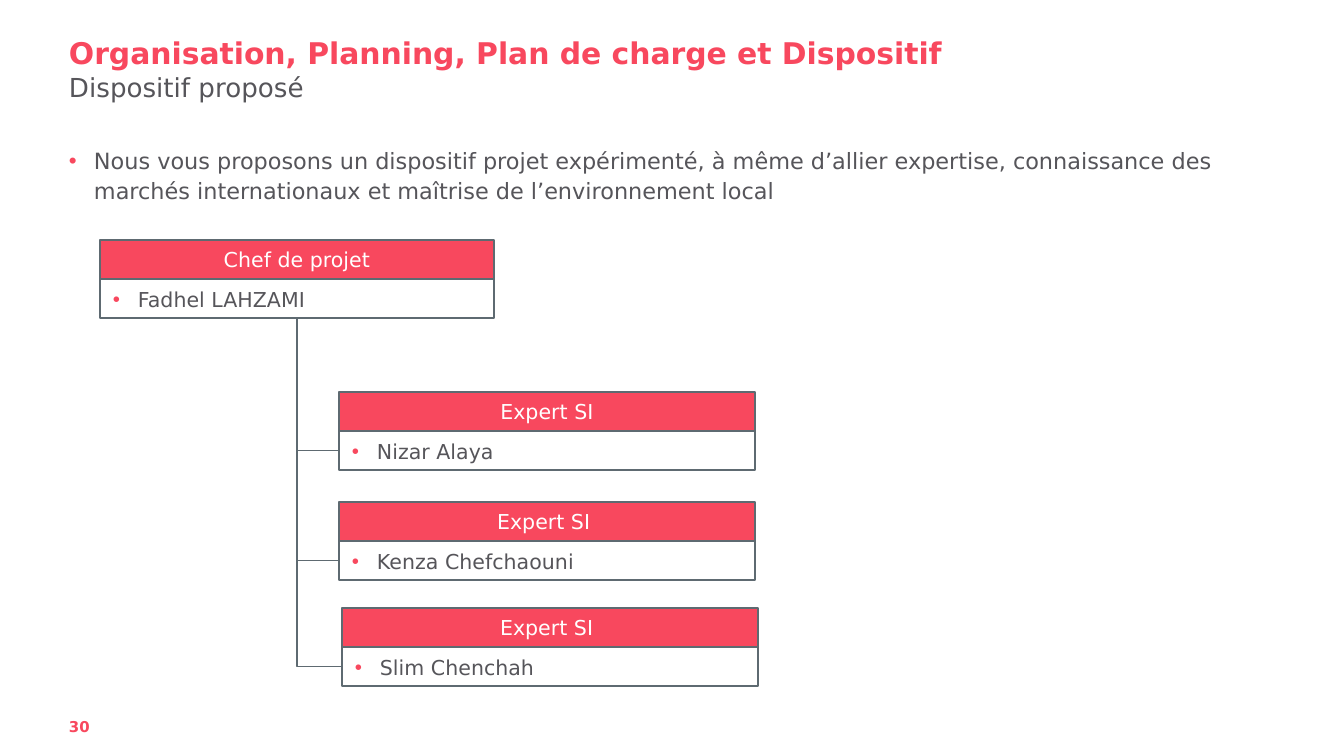
from lxml.etree import SubElement
from pptx import Presentation
from pptx.dml.color import RGBColor
from pptx.enum.shapes import MSO_CONNECTOR as Connector, MSO_SHAPE as Shape
from pptx.enum.text import MSO_ANCHOR as Anchor, MSO_AUTO_SIZE as AutoSize, PP_ALIGN as Align
from pptx.oxml.ns import qn
from pptx.util import Emu, Pt

FONT = "DejaVu Sans"
RED, GREY, SLATE, WHITE = "F8485E", "56555A", "5E6A71", "FFFFFF"
MARGIN, TEXT_WIDTH = 69, 1207
ROW, INDENT = 39, 25
EXPERTS = [
    (339, 392, "Expert SI", "Nizar Alaya"),
    (339, 502, "Expert SI ", "Kenza Chefchaouni"),
    (342, 608, "Expert SI ", "Slim Chenchah"),
]


def px(length):
    return Emu(round(length * 914400 / 134.4))


def color(code):
    return RGBColor.from_string(code)


def place(shape, left, top, width, height):
    shape.left, shape.top = px(left), px(top)
    shape.width, shape.height = px(width), px(height)


def write(shape, text, size, ink, bold=False, bullet=False, align=Align.LEFT,
          anchor=Anchor.TOP, insets=(0, 0, 0, 0)):
    """Fill a shape with one paragraph; insets are left, top, right, bottom."""
    frame = shape.text_frame
    frame.word_wrap = True
    frame.auto_size = AutoSize.NONE
    frame.vertical_anchor = anchor
    (frame.margin_left, frame.margin_top,
     frame.margin_right, frame.margin_bottom) = map(px, insets)
    para = frame.paragraphs[0]
    para.text = text
    para.alignment = align
    if bullet:
        add_bullet(para)
    font = para.font
    font.name, font.size, font.bold = FONT, Pt(size), bold
    font.color.rgb = color(ink)


def add_bullet(para):
    para.line_spacing = 1.1
    para.space_before = Pt(3)
    props = para._p.get_or_add_pPr()
    props.set("marL", str(px(INDENT)))
    props.set("indent", str(-px(INDENT)))
    tint = SubElement(props, qn("a:buClr"))
    SubElement(tint, qn("a:srgbClr")).set("val", RED)
    SubElement(props, qn("a:buFont")).set("typeface", "Arial")
    SubElement(props, qn("a:buChar")).set("char", "•")


def add_text(page, frame, text, size, ink, **style):
    box = page.shapes.add_textbox(*map(px, frame))
    write(box, text, size, ink, **style)


def add_box(page, left, top, width, fill):
    box = page.shapes.add_shape(Shape.RECTANGLE, *map(px, (left, top, width, ROW)))
    box.shadow.inherit = False
    box.fill.solid()
    box.fill.fore_color.rgb = color(fill)
    box.line.color.rgb = color(SLATE)
    box.line.width = Pt(0.75)
    return box


def add_card(page, left, top, width, role, name):
    """Stack a role header on a name box and return the name box."""
    header = add_box(page, left, top, width, RED)
    write(header, role, 11, WHITE, align=Align.CENTER, anchor=Anchor.MIDDLE,
          insets=(5, 5, 5, 5))
    person = add_box(page, left, top + ROW, width, WHITE)
    write(person, name, 11, GREY, bullet=True, anchor=Anchor.MIDDLE,
          insets=(13, 7, 13, 7))
    return person


def link(page, lead, expert):
    """Run a one-bend connector from the lead's bottom to the expert's left side."""
    start_x, start_y = lead.left + lead.width // 2, lead.top + lead.height
    end_x, end_y = expert.left, expert.top + expert.height // 2
    line = page.shapes.add_connector(Connector.ELBOW, start_x, start_y, end_x, end_y)
    line.begin_connect(lead, 2)
    line.end_connect(expert, 1)
    line.line.color.rgb = color(SLATE)
    line.line.width = Pt(0.75)
    # The bend needs a quarter turn, so width and height swap around the centre.
    width, height = end_y - start_y, end_x - start_x
    line.left = Emu((start_x + end_x - width) // 2)
    line.top = Emu((start_y + end_y - height) // 2)
    line.width, line.height = Emu(width), Emu(height)
    props = line._element.spPr
    turn = props.find(qn("a:xfrm"))
    turn.set("rot", "16200000")
    turn.set("flipH", "1")
    props.find(qn("a:prstGeom")).set("prst", "bentConnector2")
    SubElement(props, qn("a:effectLst"))


def main():
    deck = Presentation()
    deck.slide_width, deck.slide_height = px(1344), px(756)
    page = deck.slides.add_slide(deck.slide_layouts[5])

    title = page.shapes.title
    place(title, MARGIN, 0, TEXT_WIDTH, 71)
    write(title, "Organisation, Planning, Plan de charge et Dispositif", 16, RED,
          bold=True, anchor=Anchor.BOTTOM)
    add_text(page, (MARGIN, 71, TEXT_WIDTH, 69), "Dispositif proposé", 14, GREY)
    add_text(page, (MARGIN, 145, TEXT_WIDTH, 85),
             "Nous vous proposons un dispositif projet expérimenté, à même d’allier "
             "expertise, connaissance des marchés internationaux et maîtrise de "
             "l’environnement local", 12, GREY, bullet=True)
    add_text(page, (MARGIN, 711, 95, 44), "30", 8, RED, bold=True, insets=(0, 7, 0, 0))

    lead = add_card(page, 100, 240, 394, "Chef de projet", "Fadhel LAHZAMI")
    for left, top, role, name in EXPERTS:
        link(page, lead, add_card(page, left, top, 416, role, name))

    deck.save("out.pptx")


if __name__ == "__main__":
    main()
